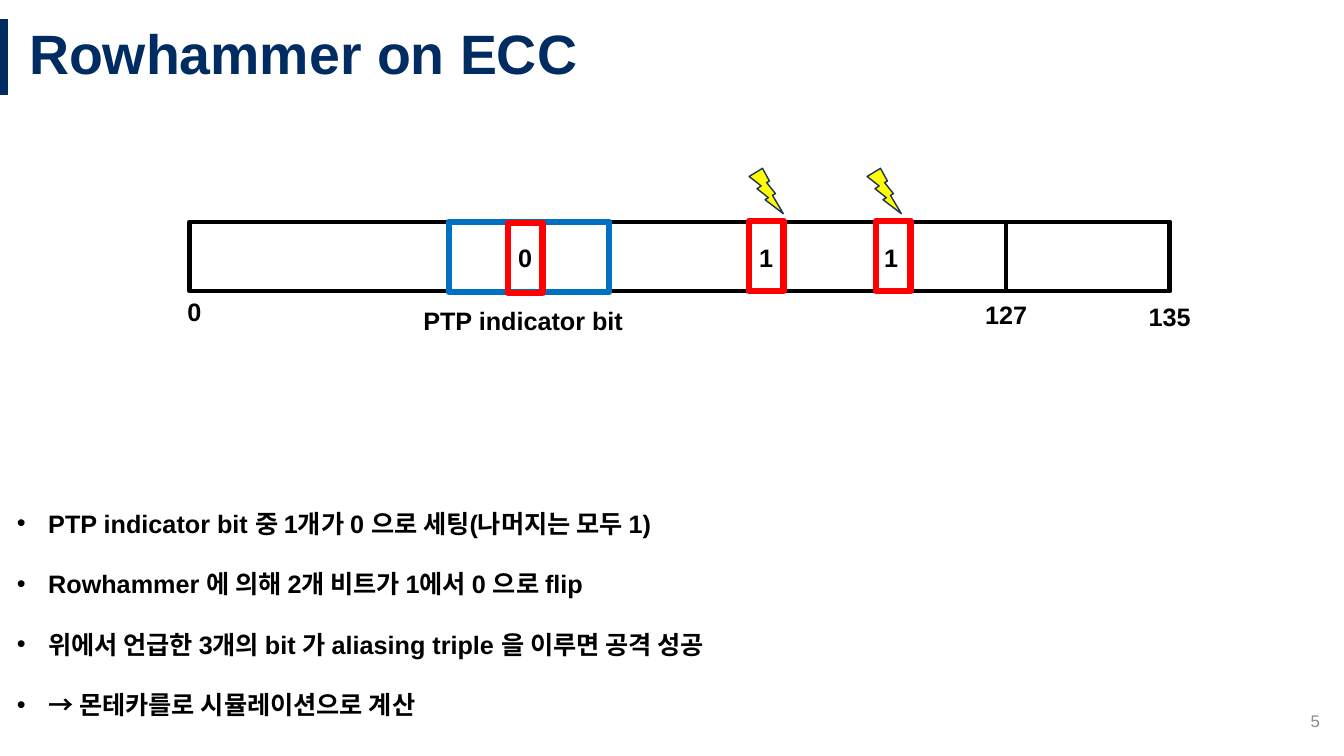
from lxml import etree
from pptx import Presentation
from pptx.dml.color import RGBColor
from pptx.enum import shapes, text
from pptx.oxml.ns import qn
from pptx.util import Inches, Pt

NAVY, BLACK, RED, BLUE = "002C62", "000000", "FF0000", "0070C0"
LEFT, CENTER, RIGHT = text.PP_ALIGN.LEFT, text.PP_ALIGN.CENTER, text.PP_ALIGN.RIGHT
RECT, BOLT = shapes.MSO_SHAPE.RECTANGLE, shapes.MSO_SHAPE.LIGHTNING_BOLT

TITLE = "Rowhammer on ECC"
BULLETS = [
    "PTP indicator bit 중 1개가 0 으로 세팅(나머지는 모두 1)",
    "Rowhammer 에 의해 2개 비트가 1에서 0 으로 flip",
    "위에서 언급한 3개의 bit 가 aliasing triple 을 이루면 공격 성공",
    "→ 몬테카를로 시뮬레이션으로 계산",
]
# left, top, width, height, line colour, line width
BOXES = [
    (1.88, 2.2, 9.72, 0.69, BLACK, 3),    # whole codeword
    (9.98, 2.2, 1.62, 0.69, BLACK, 3),    # check bits
    (7.43, 2.19, 0.34, 0.7, RED, 4.5),    # flipped bits
    (8.69, 2.19, 0.34, 0.7, RED, 4.5),
    (4.45, 2.2, 1.59, 0.7, BLUE, 4.5),    # PTP indicator
    (5.04, 2.21, 0.34, 0.7, RED, 4.5),    # zero bit
]
# text, left, top, width, alignment
LABELS = [
    ("0", 1.76, 2.89, 0.37, LEFT),
    ("127", 9.65, 2.92, 0.66, CENTER),
    ("135", 11.27, 2.94, 0.66, CENTER),
    ("0", 5.04, 2.36, 0.34, LEFT),
    ("PTP indicator bit", 4.1, 2.98, 2.66, LEFT),
    ("1", 7.43, 2.36, 0.37, LEFT),
    ("1", 8.67, 2.36, 0.37, LEFT),
]
BOLT_LEFTS = [7.43, 8.6]


def rgb(color):
    return RGBColor.from_string(color)


def add_bullet(p, indent):
    pPr = p._p.get_or_add_pPr()
    pPr.set("marL", str(Inches(indent)))
    pPr.set("indent", str(-Inches(indent)))
    etree.SubElement(pPr, qn("a:buFont")).set("typeface", "Arial")
    etree.SubElement(pPr, qn("a:buChar")).set("char", "•")


def add_text(s, lines, x, y, w, h=0.4, size=18, color=BLACK, bold=True,
             align=LEFT, anchor=text.MSO_ANCHOR.TOP, spacing=None, indent=None):
    tf = s.shapes.add_textbox(Inches(x), Inches(y), Inches(w), Inches(h)).text_frame
    tf.word_wrap = True
    tf.vertical_anchor = anchor
    for i, line in enumerate(lines):
        p = tf.add_paragraph() if i else tf.paragraphs[0]
        p.alignment = align
        if spacing:
            p.line_spacing = spacing
        if indent:
            add_bullet(p, indent)
        r = p.add_run()
        r.text = line
        r.font.name, r.font.size, r.font.bold = "Arial", Pt(size), bold
        r.font.color.rgb = rgb(color)


def add_shape(s, kind, x, y, w, h, line, width, fill=None):
    sp = s.shapes.add_shape(kind, Inches(x), Inches(y), Inches(w), Inches(h))
    sp.shadow.inherit = False
    if fill:
        sp.fill.solid()
        sp.fill.fore_color.rgb = rgb(fill)
    else:
        sp.fill.background()
    sp.line.color.rgb = rgb(line)
    sp.line.width = Pt(width)


def main():
    prs = Presentation()
    prs.slide_width, prs.slide_height = Inches(13.33), Inches(7.5)
    s = prs.slides.add_slide(prs.slide_layouts[6])

    bar = s.shapes.add_connector(shapes.MSO_CONNECTOR.STRAIGHT, Inches(0.04),
                                 Inches(0.19), Inches(0.04), Inches(0.94))
    bar.line.color.rgb = rgb(NAVY)
    bar.line.width = Pt(6)
    etree.SubElement(bar._element.spPr, qn("a:effectLst"))

    middle = text.MSO_ANCHOR.MIDDLE
    add_text(s, [TITLE], 0.19, 0.19, 13.14, 0.75, size=39.6, color=NAVY,
             anchor=middle, spacing=0.9)
    add_text(s, ["5"], 10.19, 6.95, 3, size=12, color="8C8C8C", bold=False,
             align=RIGHT, anchor=middle)
    add_text(s, BULLETS, 0.07, 4.69, 13.11, 2.43, spacing=2.0, indent=0.31)

    for box in BOXES:
        add_shape(s, RECT, *box)
    for label, x, y, w, align in LABELS:
        add_text(s, [label], x, y, w, align=align)
    for x in BOLT_LEFTS:
        add_shape(s, BOLT, x, 1.67, 0.34, 0.45, "1E3256", 1, fill="FFFF00")

    prs.save("out.pptx")


if __name__ == "__main__":
    main()
